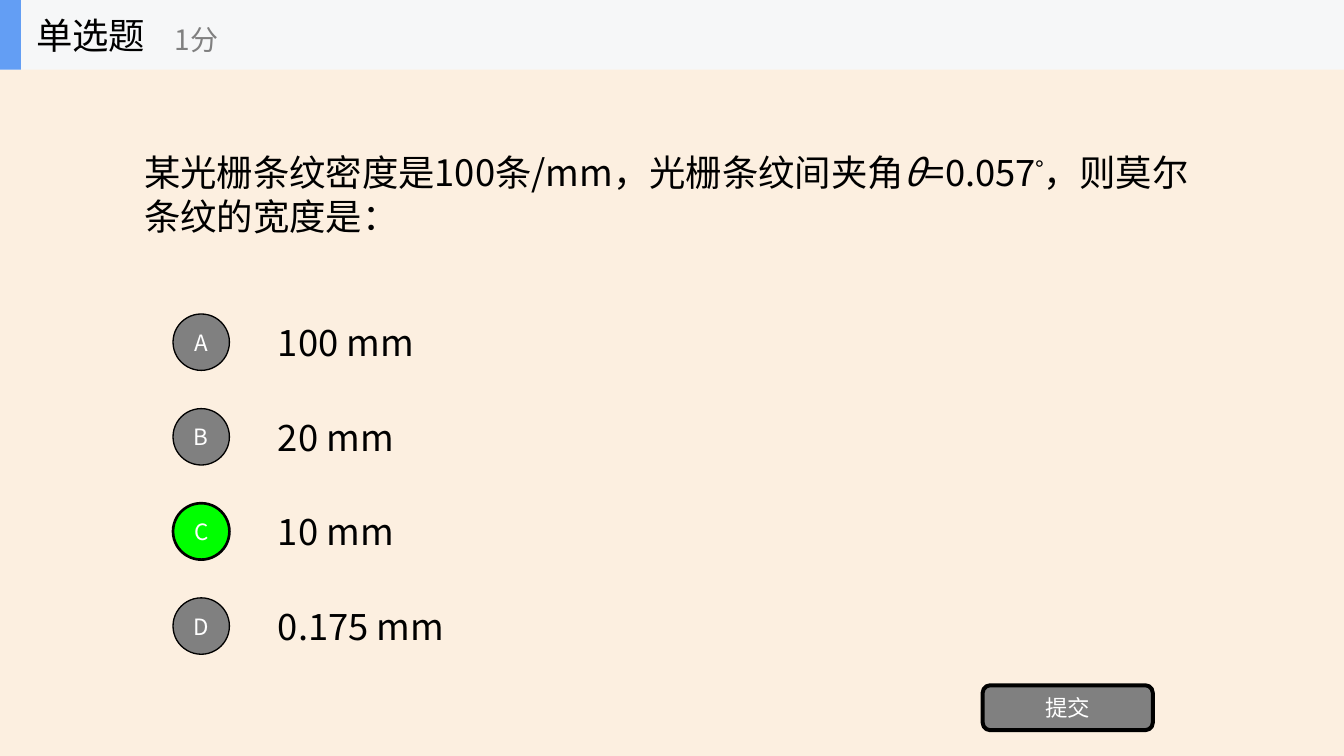
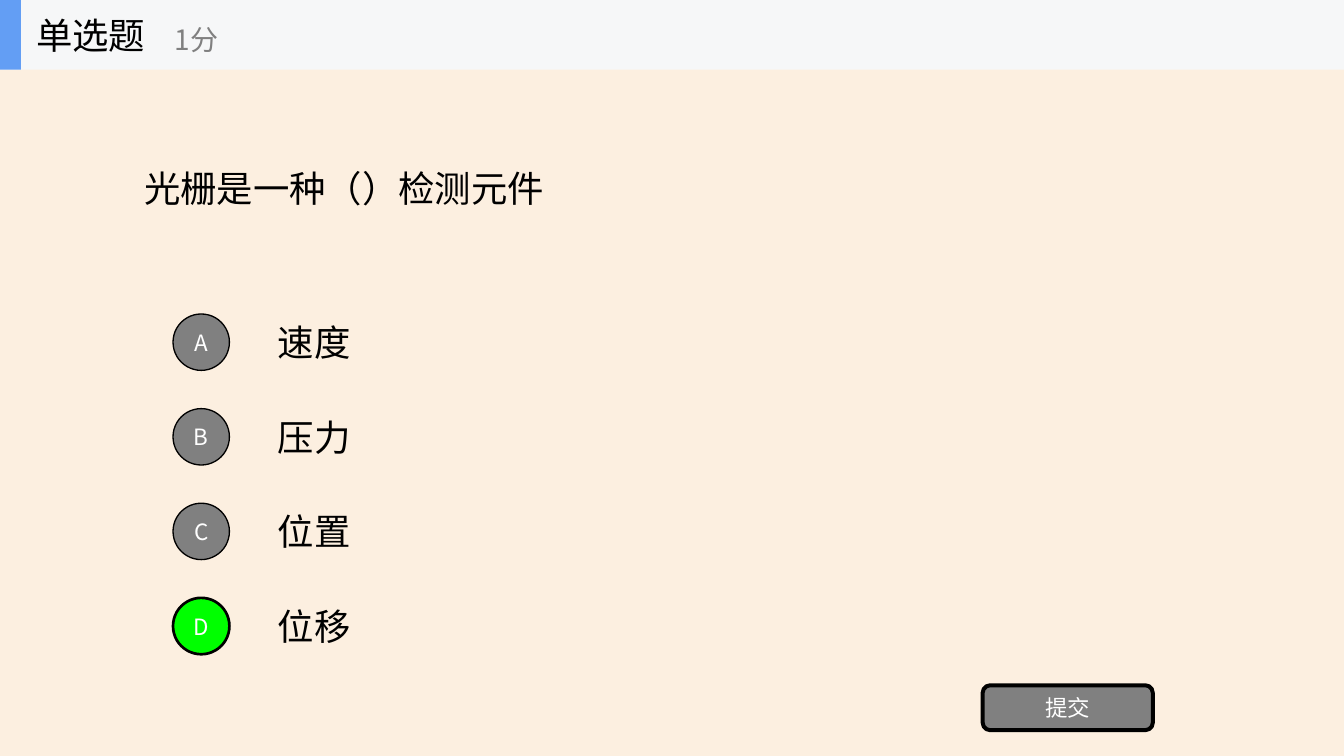
from lxml import etree
from pptx import Presentation
from pptx.dml.color import RGBColor
from pptx.enum import shapes, text
from pptx.oxml import ns
from pptx.util import Inches, Pt

FONT = "Noto Sans CJK SC"
CREAM = RGBColor(0xFC, 0xEF, 0xE0)
PALE = RGBColor(0xF6, 0xF7, 0xF8)
BLUE = RGBColor(0x63, 0x9E, 0xF4)
GRAY = RGBColor(0x80, 0x80, 0x80)
GREEN = RGBColor(0x00, 0xFF, 0x00)
BLACK = RGBColor(0x00, 0x00, 0x00)
WHITE = RGBColor(0xFF, 0xFF, 0xFF)

BODY, POINTS, LABEL = 27.4, 21.1, 16.9
WIDTH, HEIGHT = 14.06, 7.91
BAND_HEIGHT = 0.73
OPTION_TOP, OPTION_HEIGHT, OPTION_PITCH = 3.21, 0.74, 0.99
CIRCLE = 0.59

# Each question: top of its box, its text spans, its options, the right letter
QUESTIONS = [
    (0.79,
     ["某光栅条纹密度是100条/mm，光栅条纹间夹角", "θ", "=0.057", "°", "，则莫尔条纹的宽度是："],
     ["100 mm", "20 mm", "10 mm", "0.175 mm"], "C"),
    (0.73, ["光栅是一种（）检测元件"], ["速度", "压力", "位置", "位移"], "D"),
]


def write(shape, spans, size, color, align=text.PP_ALIGN.LEFT):
    """Fill a shape with one vertically centred paragraph of styled spans."""
    frame = shape.text_frame
    frame.word_wrap = True
    frame.vertical_anchor = text.MSO_ANCHOR.MIDDLE
    para = frame.paragraphs[0]
    para.alignment = align
    for words in spans:
        span = para.add_run()
        span.text = words
        font = span.font
        font.size, font.name, font.color.rgb = Pt(size), FONT, color
        properties = span._r.get_or_add_rPr()
        east_asian = etree.SubElement(properties, ns.qn("a:ea"))
        east_asian.set("typeface", FONT)
        if words == "θ":
            font.italic = True
        elif words == "°":
            font.size, font.name = Pt(28), "Calibri"
            east_asian.set("typeface", "Calibri")
            properties.set("baseline", "30000")


def add_block(page, kind, left, top, width, height, fill, line_width=0):
    block = page.shapes.add_shape(kind, Inches(left), Inches(top), Inches(width), Inches(height))
    block.shadow.inherit = False
    block.fill.solid()
    block.fill.fore_color.rgb = fill
    if line_width:
        block.line.color.rgb = BLACK
        block.line.width = Pt(line_width)
    else:
        block.line.fill.background()
    return block


deck = Presentation()
deck.slide_width, deck.slide_height = Inches(WIDTH), Inches(HEIGHT)
background = deck.slide_master.background.fill
background.solid()
background.fore_color.rgb = CREAM

for question_top, question, options, answer in QUESTIONS:
    page = deck.slides.add_slide(deck.slide_layouts[6])

    add_block(page, shapes.MSO_SHAPE.RECTANGLE, 0, 0, WIDTH, BAND_HEIGHT, PALE)
    add_block(page, shapes.MSO_SHAPE.RECTANGLE, 0, 0, 0.22, BAND_HEIGHT, BLUE)

    texts = [
        (0.28, 0, 2.2, BAND_HEIGHT, ["单选题"], BODY, BLACK),
        (1.73, 0.12, 2.64, 0.59, ["1分"], POINTS, GRAY),
        (1.41, question_top, 11.25, 2.47, question, BODY, BLACK),
    ]
    for row, option in enumerate(options):
        top = OPTION_TOP + row * OPTION_PITCH
        texts.append((2.81, top, 9.84, OPTION_HEIGHT, [option], BODY, BLACK))
        letter = "ABCD"[row]
        right = letter == answer
        circle = add_block(page, shapes.MSO_SHAPE.OVAL, 1.81, top + (OPTION_HEIGHT - CIRCLE) / 2,
                           CIRCLE, CIRCLE, GREEN if right else GRAY, 2 if right else 1)
        write(circle, [letter], LABEL, WHITE, text.PP_ALIGN.CENTER)

    for left, top, width, height, spans, size, color in texts:
        box = page.shapes.add_textbox(Inches(left), Inches(top), Inches(width), Inches(height))
        write(box, spans, size, color)

    button = add_block(page, shapes.MSO_SHAPE.ROUNDED_RECTANGLE, 10.28, 7.17, 1.78, 0.47, GRAY, 3)
    write(button, ["提交"], LABEL, WHITE, text.PP_ALIGN.CENTER)

deck.save("out.pptx")
